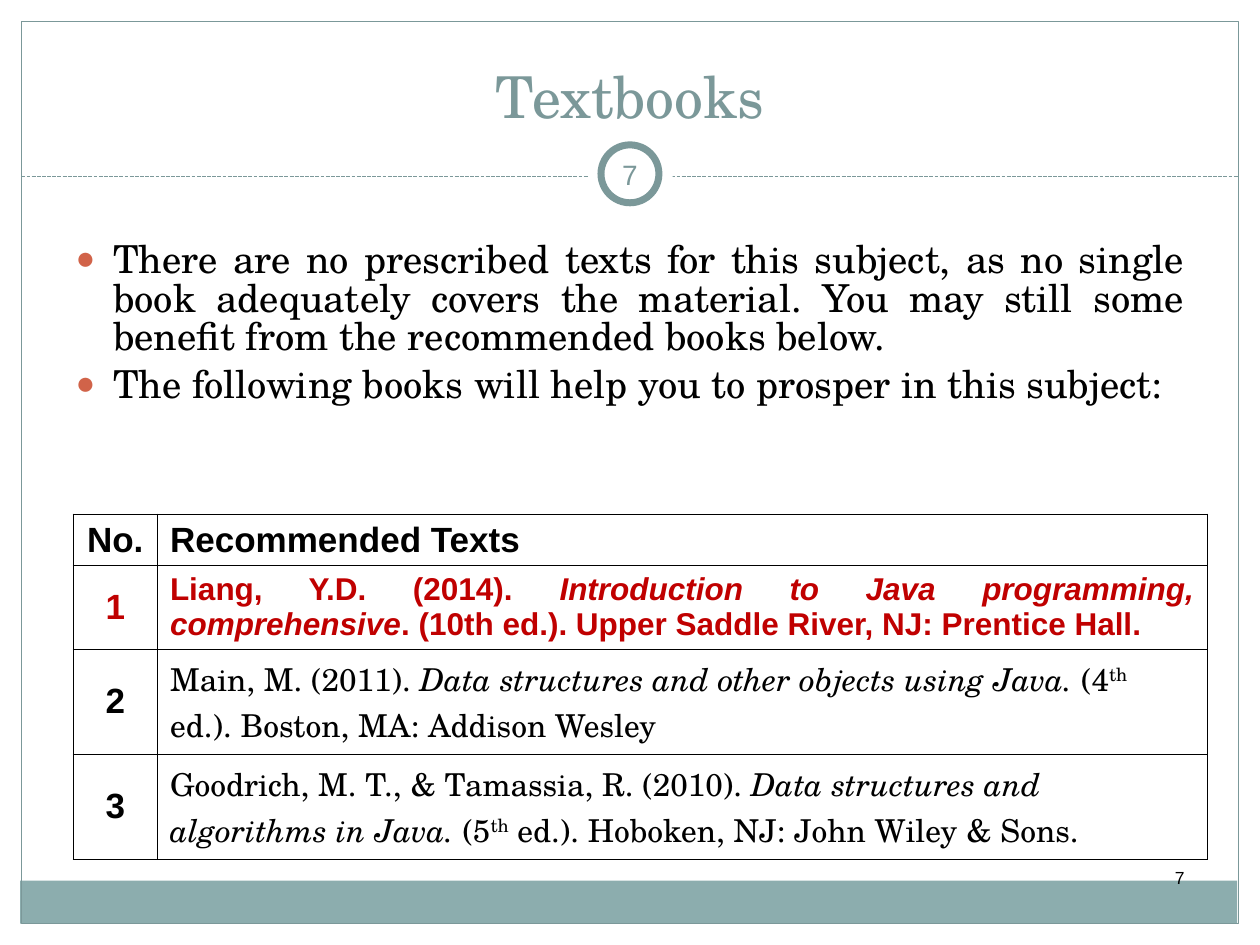
from pptx import Presentation
from pptx.dml.color import RGBColor
from pptx.enum.dml import MSO_LINE
from pptx.enum.shapes import MSO_CONNECTOR, MSO_SHAPE
from pptx.enum.text import MSO_ANCHOR, MSO_AUTO_SIZE, PP_ALIGN
from pptx.oxml import parse_xml
from pptx.oxml.ns import nsdecls
from pptx.util import Inches, Pt

SERIF, SANS = "TeX Gyre Schola", "Arial"
TEAL, RED, BLACK, WHITE = "7B9899", "C00000", "000000", "FFFFFF"


def paint(color, hue):
    color.rgb = RGBColor.from_string(hue)


def write(para, runs, align, look):
    """Add runs of (text, style); style is "", "i" for italic or "sup"."""
    para.alignment = align
    for text, style in runs:
        run = para.add_run()
        run.text = text
        for key, value in look.items():
            if key == "hue":
                paint(run.font.color, value)
            else:
                setattr(run.font, key, value)
        if style == "i":
            run.font.italic = True
        elif style == "sup":
            run.font._element.set("baseline", "30000")


prs = Presentation()
prs.slide_width, prs.slide_height = Inches(10), Inches(7.5)
slide = prs.slides.add_slide(prs.slide_layouts[1])
shapes = slide.shapes

# Footer band, frame, dashed rule and number ring
rule = shapes.add_connector(
    MSO_CONNECTOR.STRAIGHT, Inches(0.17), Inches(1.4), Inches(9.83), Inches(1.4))
paint(rule.line.color, TEAL)
rule.line.width = Pt(0.75)
rule.line.dash_style = MSO_LINE.SQUARE_DOT
rule._element.spPr.append(parse_xml(f"<a:effectLst {nsdecls('a')}/>"))

RECT, OVAL = MSO_SHAPE.RECTANGLE, MSO_SHAPE.OVAL
for kind, box, fill, width in [
    (RECT, (0.16, 6.99, 9.66, 0.34), "8CADAE", 0),
    (RECT, (0.17, 0.17, 9.66, 7.16), None, 0.75),
    (OVAL, (4.67, 1.05, 0.67, 0.67), WHITE, 0),
    (OVAL, (4.77, 1.15, 0.46, 0.46), WHITE, 4),
]:
    part = shapes.add_shape(kind, *map(Inches, box))
    part.shadow.inherit = False
    if fill:
        part.fill.solid()
        paint(part.fill.fore_color, fill)
    else:
        part.fill.background()
    if width:
        paint(part.line.color, TEAL)
        part.line.width = Pt(width)
    else:
        part.line.fill.background()

# Title
title = shapes.title
title.left, title.top, title.width, title.height = map(Inches, (0.5, 0.13, 9, 0.95))
frame = title.text_frame
frame.auto_size = MSO_AUTO_SIZE.NONE
frame.vertical_anchor = MSO_ANCHOR.BOTTOM
write(frame.paragraphs[0], [("Textbooks", "")], PP_ALIGN.CENTER,
      {"name": SERIF, "size": Pt(33), "hue": TEAL})

# Bulleted list
body = slide.placeholders[1]
body.left, body.top, body.width, body.height = map(Inches, (0.5, 1.88, 9, 2.33))
frame = body.text_frame
frame.auto_size = MSO_AUTO_SIZE.NONE
points = [
    "There are no prescribed texts for this subject, as no single book adequately "
    "covers the material. You may still some benefit from the recommended books below.",
    "The following books will help you to prosper in this subject:",
]
for n, text in enumerate(points):
    para = frame.add_paragraph() if n else frame.paragraphs[0]
    props = para._p.get_or_add_pPr()
    props.set("marL", str(Inches(0.3)))
    props.set("indent", str(-Inches(0.3)))
    for xml in (
        f"<a:buClr {nsdecls('a')}><a:srgbClr val='D16349'/></a:buClr>",
        f"<a:buSzPct {nsdecls('a')} val='85000'/>",
        f"<a:buChar {nsdecls('a')} char='●'/>",
    ):
        props.append(parse_xml(xml))
    para.line_spacing = 0.83
    para.space_before = Pt(5.5 if n else 0)
    write(para, [(text, "")], PP_ALIGN.JUSTIFY,
          {"name": SERIF, "size": Pt(22), "hue": BLACK})

# Table of books
head = {"name": SANS, "size": Pt(20), "bold": True, "hue": BLACK}
main = {**head, "size": Pt(18), "hue": RED}
book = {"name": SERIF, "size": Pt(18), "bold": False, "hue": BLACK}
LEFT = PP_ALIGN.LEFT
rows = [
    (0.41, "No.", head, [("Recommended Texts", "")], LEFT, head),
    (0.66, "1", {**head, "hue": RED}, [
        ("Liang, Y.D. (2014). ", ""),
        ("Introduction to Java programming, comprehensive", "i"),
        (". (10th ed.). Upper Saddle River, NJ: Prentice Hall.", ""),
    ], PP_ALIGN.JUSTIFY, main),
    (0.78, "2", head, [
        ("Main, M. (2011). ", ""),
        ("Data structures and other objects using Java.", "i"),
        (" (4", ""), ("th", "sup"),
        (" ed.). Boston, MA: Addison Wesley", ""),
    ], LEFT, book),
    (0.78, "3", head, [
        ("Goodrich, M. T., & Tamassia, R. (2010). ", ""),
        ("Data structures and algorithms in Java.", "i"),
        (" (5", ""), ("th", "sup"),
        (" ed.). Hoboken, NJ: John Wiley & Sons.", ""),
    ], LEFT, book),
]
table = shapes.add_table(
    len(rows), 2, Inches(0.58), Inches(4.08), Inches(9), Inches(2.63)).table
table.first_row = table.horz_banding = False
for col, width in zip(table.columns, (0.67, 8.33)):
    col.width = Inches(width)
for r, (height, mark, style, runs, align, look) in enumerate(rows):
    table.rows[r].height = Inches(height)
    cells = [([(mark, "")], PP_ALIGN.CENTER, style), (runs, align, look)]
    for c, entry in enumerate(cells):
        cell = table.cell(r, c)
        cell.vertical_anchor = MSO_ANCHOR.MIDDLE
        write(cell.text_frame.paragraphs[0], *entry)
        edges = cell._tc.get_or_add_tcPr()
        for side in "LRTB":
            inner = (side, c) in (("R", 0), ("L", 1))
            edges.append(parse_xml(
                f"<a:ln{side} {nsdecls('a')} w='{Pt(0.34 if inner else 0.45)}'>"
                f"<a:solidFill><a:srgbClr val='{BLACK}'/></a:solidFill></a:ln{side}>"))
        cell.fill.background()

# Slide numbers in the ring and the corner
for box, inset, anchor, align, size, hue in [
    ((4.75, 1.14, 0.5, 0.48), 0.05, MSO_ANCHOR.MIDDLE, PP_ALIGN.CENTER, 16, TEAL),
    ((7.17, 6.83, 2.33, 0.5), 0.1, MSO_ANCHOR.TOP, PP_ALIGN.RIGHT, 10, BLACK),
]:
    frame = shapes.add_textbox(*map(Inches, box)).text_frame
    frame.word_wrap = True
    frame.margin_left = frame.margin_right = Inches(inset)
    frame.vertical_anchor = anchor
    write(frame.paragraphs[0], [("7", "")], align,
          {"name": SANS, "size": Pt(size), "hue": hue})

prs.save("out.pptx")
